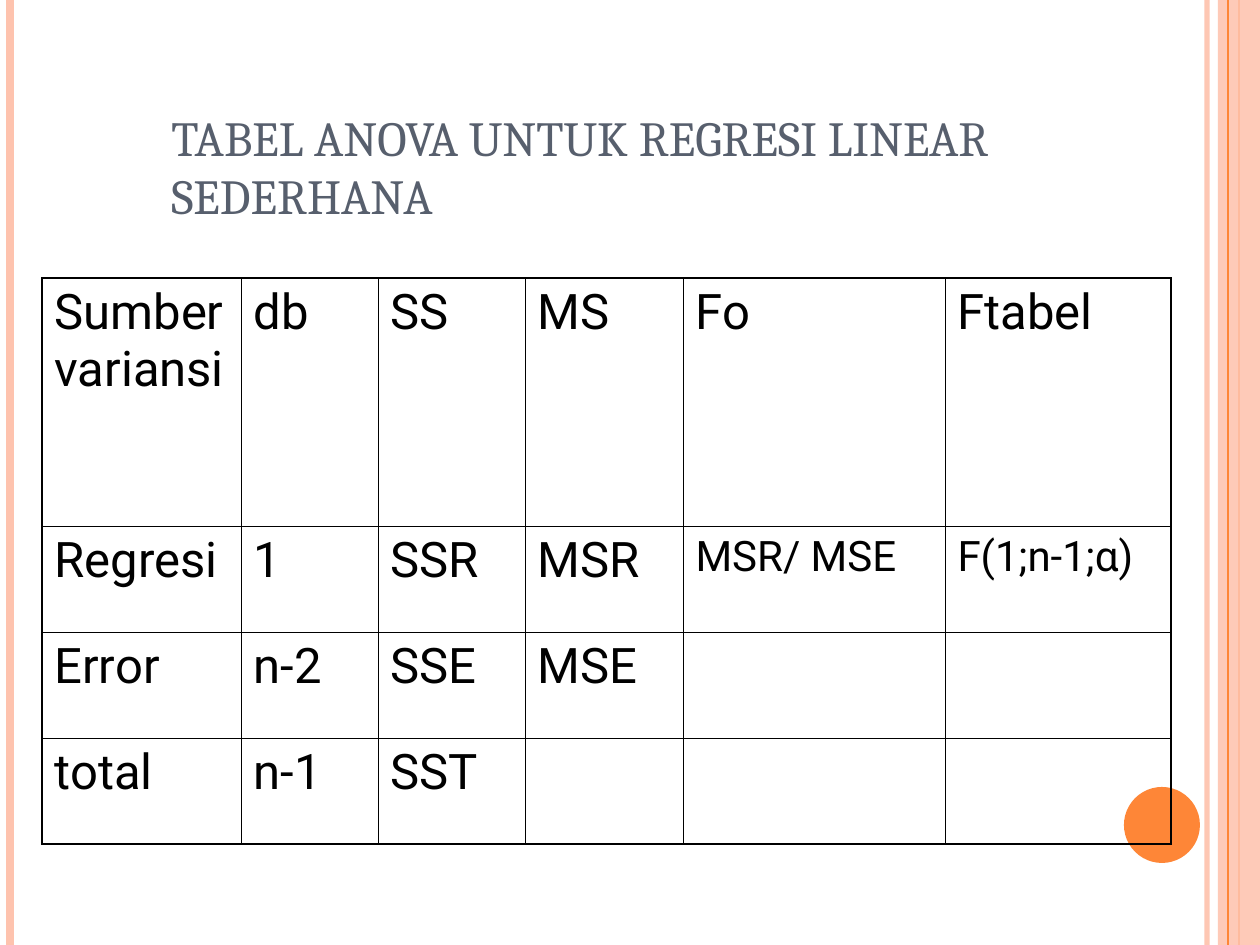
from pptx import Presentation
from pptx.dml.color import RGBColor
from pptx.enum.shapes import MSO_CONNECTOR, MSO_SHAPE
from pptx.enum.text import MSO_ANCHOR
from pptx.oxml.ns import qn
from pptx.util import Emu, Pt
from lxml import etree

STRAIGHT = MSO_CONNECTOR.STRAIGHT
RECT, OVAL = MSO_SHAPE.RECTANGLE, MSO_SHAPE.OVAL
BOTTOM = MSO_ANCHOR.BOTTOM

TITLE = "TABEL ANOVA UNTUK REGRESI LINEAR SEDERHANA"
ROWS = [
    ["Sumber variansi", "db", "SS", "MS", "Fo", "Ftabel"],
    ["Regresi", "1", "SSR", "MSR", "MSR/ MSE", "F(1;n-1;α)"],
    ["Error", "n-2", "SSE", "MSE", "", ""],
    ["total", "n-1", "SST", "", "", ""],
]
FORMULA_CELLS = {(1, 4), (1, 5)}

THEME = {
    "peach": "FEC3AE", "orange": "FE8637", "ink": "000000",
    "title": {"name": "Cambria", "size": Pt(28), "color": "575F6D"},
    "cell": {"name": "Roboto", "size": Pt(28), "color": "000000"},
    "formula": {"name": "Roboto", "size": Pt(24), "color": "000000"},
    "outer": 1.08, "inner": 0.45,
}

SLIDE_W, SLIDE_H = 1260, 945
TITLE_BOX = (159, 29, 1074, 202)
TABLE_LEFT, TABLE_TOP = 42, 278
COL_WIDTHS = [199, 137, 147, 158, 262, 226]
ROW_HEIGHTS = [248, 106, 106, 106]
BACK_STRIPES = [(1207, "peach", 3, 93), (10, "peach", 4.5, 100), (1239, "orange", 1.5, 100)]
BAND = (RECT, (1218, 0, 42, SLIDE_H), "peach", 87)
FRONT_STRIPE = (1228, "orange", 0.75, 100)
DOT = (OVAL, (1124, 787, 76, 76), "orange", 100)


def px(n):
    return Emu(round(n * 914400 / 126))


def rgb(value):
    return RGBColor.from_string(value)


def set_alpha(shape, percent):
    if percent < 100:
        for color in shape._element.spPr.iter(qn("a:srgbClr")):
            etree.SubElement(color, qn("a:alpha"), val=str(percent * 1000))


def add_stripe(s, x, color, width, opacity):
    line = s.shapes.add_connector(STRAIGHT, px(x), px(0), px(x), px(SLIDE_H))
    line.line.color.rgb = rgb(THEME[color])
    line.line.width = Pt(width)
    set_alpha(line, opacity)
    etree.SubElement(line._element.spPr, qn("a:effectLst"))


def add_solid(s, kind, box, color, opacity):
    sp = s.shapes.add_shape(kind, *map(px, box))
    sp.shadow.inherit = False
    sp.fill.solid()
    sp.fill.fore_color.rgb = rgb(THEME[color])
    sp.line.fill.background()
    set_alpha(sp, opacity)


def write(tf, text, style):
    p = tf.paragraphs[0]
    r = p.add_run()
    r.text = text
    for key, value in style.items():
        if key == "color":
            r.font.color.rgb = rgb(value)
        else:
            setattr(r.font, key, value)


def set_borders(cell, outer_sides):
    tcPr = cell._tc.get_or_add_tcPr()
    for side, is_outer in outer_sides.items():
        width = THEME["outer" if is_outer else "inner"]
        ln = etree.SubElement(tcPr, qn("a:" + side), w=str(Pt(width)))
        fill = etree.SubElement(ln, qn("a:solidFill"))
        etree.SubElement(fill, qn("a:srgbClr"), val=THEME["ink"])


def add_anova_table(s):
    n_rows, n_cols = len(ROWS), len(COL_WIDTHS)
    frame = s.shapes.add_table(n_rows, n_cols, px(TABLE_LEFT), px(TABLE_TOP),
                               px(sum(COL_WIDTHS)), px(sum(ROW_HEIGHTS)))
    table = frame.table
    table.first_row = table.horz_banding = False
    for column, width in zip(table.columns, COL_WIDTHS):
        column.width = px(width)
    for row, height in zip(table.rows, ROW_HEIGHTS):
        row.height = px(height)
    for i, texts in enumerate(ROWS):
        for j, text in enumerate(texts):
            cell = table.cell(i, j)
            set_borders(cell, {"lnL": j == 0, "lnR": j == n_cols - 1,
                               "lnT": i == 0, "lnB": i == n_rows - 1})
            cell.fill.background()
            if text:
                style = "formula" if (i, j) in FORMULA_CELLS else "cell"
                write(cell.text_frame, text, THEME[style])


def main():
    prs = Presentation()
    prs.slide_width, prs.slide_height = px(SLIDE_W), px(SLIDE_H)
    s = prs.slides.add_slide(prs.slide_layouts[6])
    for stripe in BACK_STRIPES:
        add_stripe(s, *stripe)
    add_solid(s, *BAND)
    add_stripe(s, *FRONT_STRIPE)
    add_solid(s, *DOT)
    tf = s.shapes.add_textbox(*map(px, TITLE_BOX)).text_frame
    tf.word_wrap = True
    tf.vertical_anchor = BOTTOM
    write(tf, TITLE, THEME["title"])
    add_anova_table(s)
    prs.save("out.pptx")


if __name__ == "__main__":
    main()
